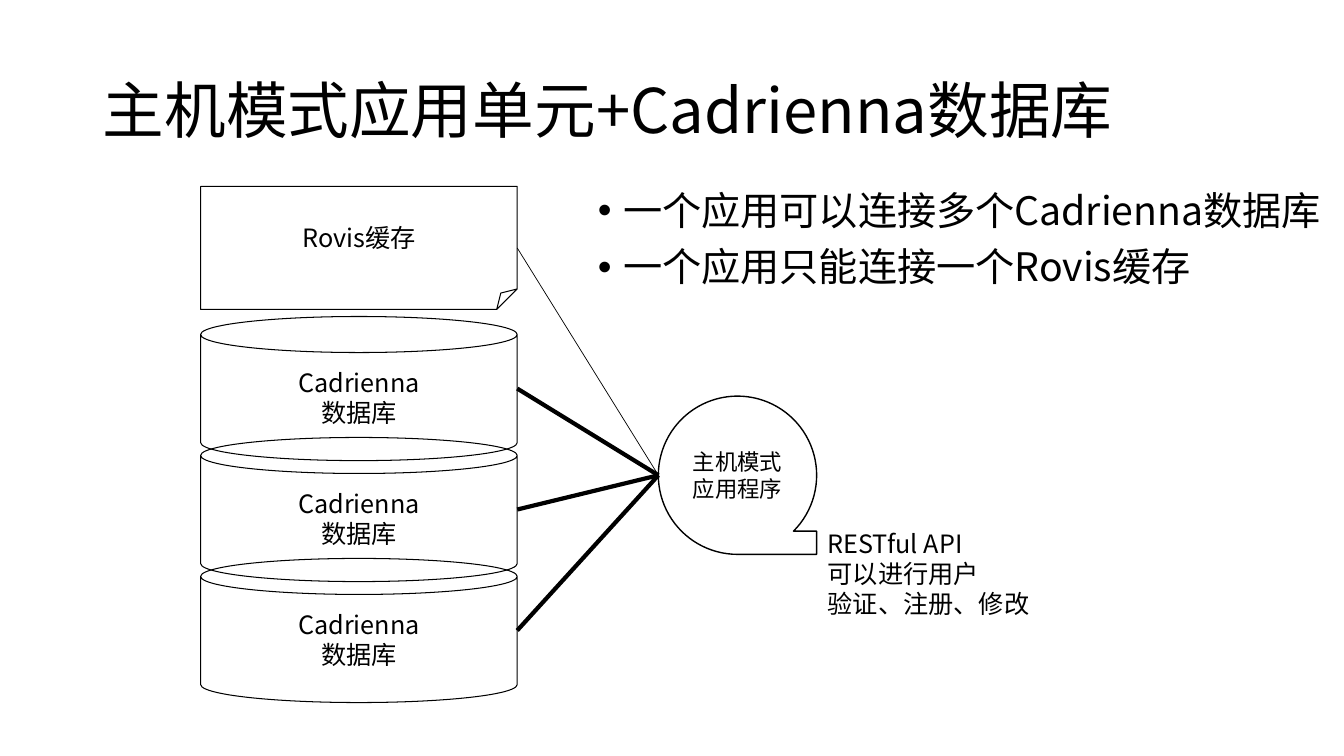
"""Build a slide on one host-mode application linked to a cache and three databases."""
from lxml import etree
from pptx import Presentation
from pptx.dml.color import RGBColor
from pptx.enum.shapes import MSO_CONNECTOR, MSO_SHAPE
from pptx.enum.text import MSO_ANCHOR, MSO_AUTO_SIZE, PP_ALIGN
from pptx.oxml.ns import qn
from pptx.util import Inches, Pt

BLACK = RGBColor(0, 0, 0)
WHITE = RGBColor(255, 255, 255)
FONT = "Noto Sans CJK SC"
STRAIGHT = MSO_CONNECTOR.STRAIGHT
NOTE, CAN = MSO_SHAPE.FOLDED_CORNER, MSO_SHAPE.CAN
TAPE = MSO_SHAPE.FLOWCHART_SEQUENTIAL_ACCESS_STORAGE
LEFT, CENTER = PP_ALIGN.LEFT, PP_ALIGN.CENTER
MIDDLE, TOP = MSO_ANCHOR.MIDDLE, MSO_ANCHOR.TOP
NO_FIT, GROW = MSO_AUTO_SIZE.NONE, MSO_AUTO_SIZE.SHAPE_TO_FIT_TEXT
LEFT_SIDE, RIGHT_SIDE = 1, 3

STORE_LEFT, STORE_WIDTH = 1.99, 3.14
STORE_TOP, CACHE_HEIGHT = 1.85, 1.22
CAN_TOP, CAN_HEIGHT, CAN_STEP = 3.14, 1.43, 1.2
APP_LEFT, APP_TOP, APP_SIZE = 6.53, 3.93, 1.57


def write(box, text, size, align, anchor):
    frame = box.text_frame
    frame.text = text
    frame.vertical_anchor = anchor
    for para in frame.paragraphs:
        para.alignment = align
        for span in para.runs:
            span.font.size = Pt(size)
            span.font.color.rgb = BLACK
            span.font.name = FONT
            east_asian = etree.SubElement(span.font._element, qn("a:ea"))
            east_asian.set("typeface", FONT)


def add_box(kind, left, top, width, height, text, size, line_width):
    box = page.shapes.add_shape(kind, Inches(left), Inches(top), Inches(width), Inches(height))
    box.shadow.inherit = False
    box.fill.background()
    box.line.color.rgb = BLACK
    box.line.width = Pt(line_width)
    write(box, text, size, CENTER, MIDDLE)
    return box


deck = Presentation()
deck.slide_width, deck.slide_height = Inches(13.33), Inches(7.5)
page = deck.slides.add_slide(deck.slide_layouts[1])

title, body = page.placeholders
title.left, title.top, title.width, title.height = map(Inches, (0.92, 0.4, 11.5, 1.45))
write(title, "主机模式应用单元+Cadrienna数据库", 44, LEFT, MIDDLE)
title.text_frame.paragraphs[0].line_spacing = 0.9

body.left, body.top, body.width, body.height = map(Inches, (5.83, STORE_TOP, 7.48, 4.76))
write(body, "一个应用可以连接多个Cadrienna数据库\n一个应用只能连接一个Rovis缓存", 28, LEFT, TOP)
for para in body.text_frame.paragraphs:
    para.line_spacing = 0.9
    para.space_before = Pt(10)
    properties = para._p.get_or_add_pPr()
    properties.set("marL", str(Inches(0.25)))
    properties.set("indent", str(Inches(-0.25)))
for holder in (title, body):
    holder.text_frame.auto_size = NO_FIT

cache = add_box(NOTE, STORE_LEFT, STORE_TOP, STORE_WIDTH, CACHE_HEIGHT, "Rovis缓存", 18, 0.75)
databases = [
    add_box(CAN, STORE_LEFT, CAN_TOP + row * CAN_STEP, STORE_WIDTH, CAN_HEIGHT,
            "Cadrienna\n数据库", 18, 0.75)
    for row in range(3)
]
app = add_box(TAPE, APP_LEFT, APP_TOP, APP_SIZE, APP_SIZE, "主机模式\n应用程序", 16, 1)
app.fill.solid()
app.fill.fore_color.rgb = WHITE

for store in [cache, *databases]:
    link = page.shapes.add_connector(
        STRAIGHT, store.left + store.width, store.top + store.height // 2,
        app.left, app.top + app.height // 2)
    if store is cache:
        link.begin_connect(cache, RIGHT_SIDE)
    link.end_connect(app, LEFT_SIDE)
    link.line.color.rgb = BLACK
    link.line.width = Pt(0.5 if store is cache else 3)
    etree.SubElement(link._element.spPr, qn("a:effectLst"))

api = page.shapes.add_textbox(Inches(8.11), Inches(5.19), Inches(2.22), Inches(1.01))
write(api, "RESTful API\n可以进行用户\n验证、注册、修改", 18, LEFT, TOP)
api.text_frame.word_wrap = False
api.text_frame.auto_size = GROW

deck.save("out.pptx")
